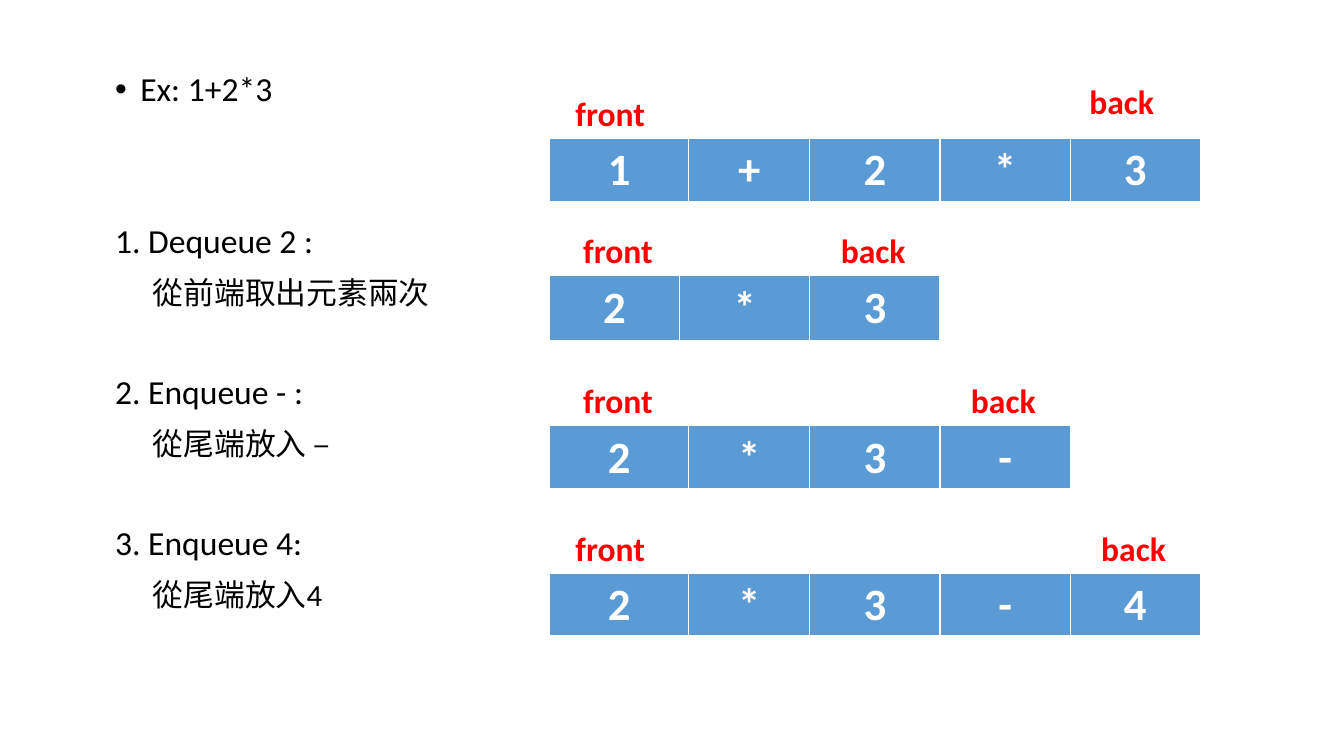
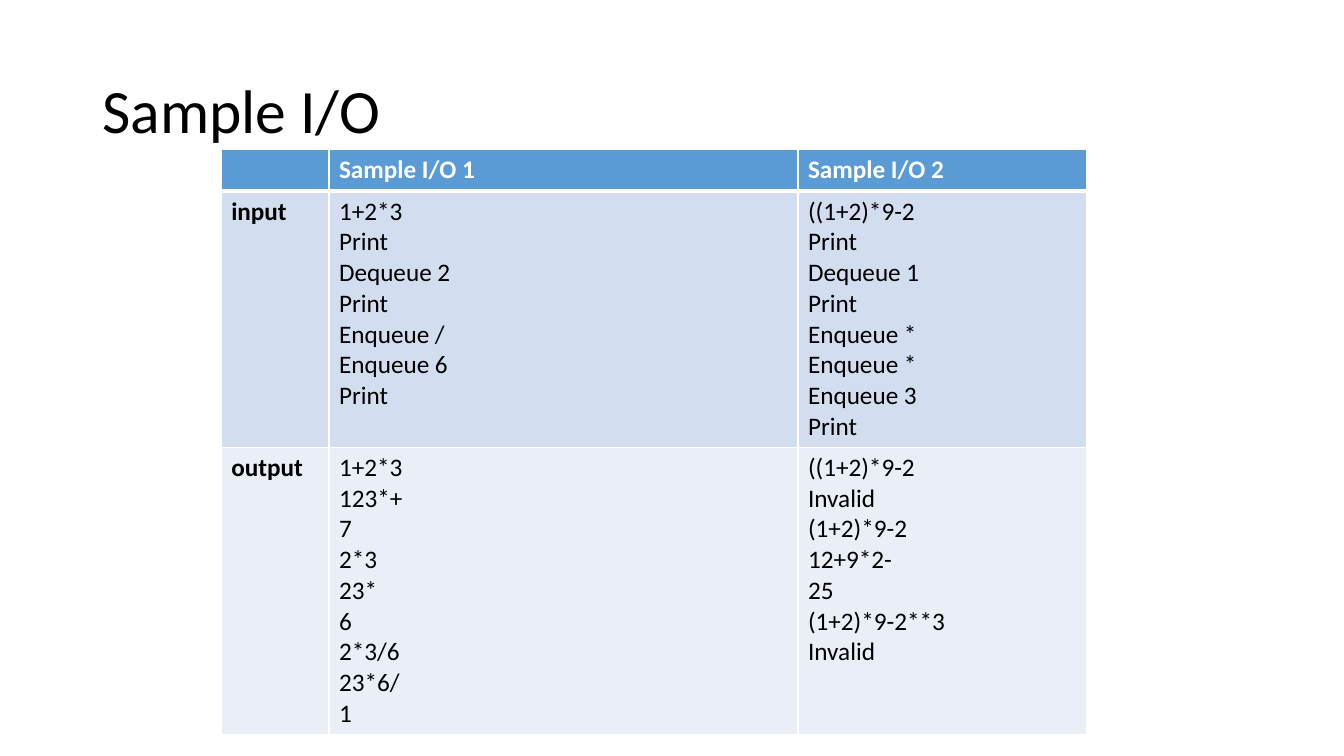
from dataclasses import dataclass

from lxml import etree
from pptx import Presentation
from pptx.dml.color import RGBColor
from pptx.enum.text import MSO_ANCHOR, MSO_AUTO_SIZE, PP_ALIGN
from pptx.oxml.ns import qn
from pptx.util import Pt

LEFT, CENTER = PP_ALIGN.LEFT, PP_ALIGN.CENTER
MIDDLE, TOP = MSO_ANCHOR.MIDDLE, MSO_ANCHOR.TOP
FIXED_SIZE, GROW = MSO_AUTO_SIZE.NONE, MSO_AUTO_SIZE.SHAPE_TO_FIT_TEXT

# Shared style
FONT = "Calibri"
COLORS = {
    "text": "000000",
    "tag": "FF0000",
    "white": "FFFFFF",
    "header": "5B9BD5",
    "input": "D2DEEF",
    "output": "EAEFF7",
}
TITLE_ONLY, TITLE_AND_CONTENT = 5, 1
LINE_HEIGHT = 26
LINE_GAP = 10
LINE_PITCH = LINE_HEIGHT + LINE_GAP

# Queue diagram grid
QUEUE_LEFT = 392.5
CELL_WIDTH = 93
TAG_WIDTH = 78
TAG_HEIGHT = 36


@dataclass(frozen=True)
class Queue:
    symbols: str
    top: float
    height: float
    front_left: float
    first_extra: float = 6.5
    back_shift: tuple[float, float] = (0, 0)


@dataclass(frozen=True)
class Step:
    text: str
    size: float = 24
    indent: float = 0
    skipped_lines: int = 0
    bullet: bool = False


@dataclass(frozen=True)
class SampleRow:
    color: str
    height: float
    cells: tuple[str, str, str]


QUEUES = [
    Queue("1+2*3", 98.5, 45, 404, back_shift=(-8.5, -8)),
    Queue("2*3", 197, 47, 409.5, first_extra=0),
    Queue("2*3-", 304, 45, 409.5),
    Queue("2*3-4", 409.5, 45, 404),
]

STEPS = [
    Step("Ex: 1+2*3", indent=18, bullet=True),
    Step("1. Dequeue 2 :", skipped_lines=2),
    Step("從前端取出元素兩次", 22, 27),
    Step("2. Enqueue - :", skipped_lines=1),
    Step("從尾端放入 –", 22, 27),
    Step("3. Enqueue 4:", skipped_lines=1),
    Step("從尾端放入4", 22, 27),
]

SAMPLE_COLUMNS = (77, 335, 206)
SAMPLES = [
    SampleRow("header", 29.5, ("", "Sample I/O 1", "Sample I/O 2")),
    SampleRow("input", 183, (
        "input",
        "1+2*3\nPrint\nDequeue 2\nPrint\nEnqueue /\nEnqueue 6\nPrint",
        "((1+2)*9-2\nPrint\nDequeue 1\nPrint\nEnqueue *\nEnqueue *\nEnqueue 3\nPrint",
    )),
    SampleRow("output", 205, (
        "output",
        "1+2*3\n123*+\n7\n2*3\n23*\n6\n2*3/6\n23*6/\n1",
        "((1+2)*9-2\nInvalid\n(1+2)*9-2\n12+9*2-\n25\n(1+2)*9-2**3\nInvalid",
    )),
]


def place(shape, left: float, top: float, width: float, height: float) -> None:
    shape.left, shape.top = Pt(left), Pt(top)
    shape.width, shape.height = Pt(width), Pt(height)


def add_run(paragraph, text: str, size: float, color: str = "text",
            bold: bool = False) -> None:
    run = paragraph.add_run()
    run.text = text
    run.font.name = FONT
    run.font.size = Pt(size)
    run.font.bold = bold
    run.font.color.rgb = RGBColor.from_string(COLORS[color])


def get_paragraph(frame, index: int):
    return frame.add_paragraph() if index else frame.paragraphs[0]


def add_border(cell, side: str, width: float) -> None:
    line = etree.SubElement(cell._tc.get_or_add_tcPr(), qn(f"a:ln{side}"),
                            w=str(Pt(width)))
    fill = etree.SubElement(line, qn("a:solidFill"))
    etree.SubElement(fill, qn("a:srgbClr"), val=COLORS["white"])


def fill_cell(cell, text: str, color: str, size: float, text_color: str,
              bold: bool, align: PP_ALIGN, bottom_border: float) -> None:
    for side, width in (("L", 1), ("R", 1), ("T", 1), ("B", bottom_border)):
        add_border(cell, side, width)
    cell.fill.solid()
    cell.fill.fore_color.rgb = RGBColor.from_string(COLORS[color])
    if not text:
        return
    for index, line in enumerate(text.split("\n")):
        paragraph = get_paragraph(cell.text_frame, index)
        paragraph.alignment = align
        add_run(paragraph, line, size, text_color, bold)


def add_grid(slide, left: float, top: float, widths: list[float],
             heights: list[float]):
    grid = slide.shapes.add_table(
        len(heights), len(widths), Pt(left), Pt(top),
        Pt(sum(widths)), Pt(sum(heights))).table
    for column, width in zip(grid.columns, widths):
        column.width = Pt(width)
    for row, height in zip(grid.rows, heights):
        row.height = Pt(height)
    return grid


def add_tag(slide, text: str, left: float, top: float) -> None:
    tag = slide.shapes.add_textbox(Pt(left), Pt(top), Pt(TAG_WIDTH), Pt(TAG_HEIGHT))
    tag.text_frame.word_wrap = True
    tag.text_frame.auto_size = GROW
    add_run(tag.text_frame.paragraphs[0], text, 24, "tag", bold=True)


def add_queue(slide, queue: Queue) -> None:
    widths = [CELL_WIDTH] * len(queue.symbols)
    widths[0] += queue.first_extra
    widths[1] -= queue.first_extra
    grid = add_grid(slide, QUEUE_LEFT, queue.top, widths, [queue.height])
    for column, symbol in enumerate(queue.symbols):
        fill_cell(grid.cell(0, column), symbol, "header", 32, "white",
                  True, CENTER, 3)
    tag_top = queue.top - TAG_HEIGHT
    shift_x, shift_y = queue.back_shift
    add_tag(slide, "front", queue.front_left, tag_top)
    add_tag(slide, "back", QUEUE_LEFT + sum(widths) - TAG_WIDTH + shift_x,
            tag_top + shift_y)


def add_step(paragraph, step: Step) -> None:
    paragraph.alignment = LEFT
    paragraph.line_spacing = Pt(LINE_HEIGHT)
    paragraph.space_before = Pt(LINE_GAP + step.skipped_lines * LINE_PITCH)
    paragraph.space_after = Pt(0)
    properties = paragraph._p.get_or_add_pPr()
    properties.set("marL", str(Pt(step.indent)))
    properties.set("indent", str(Pt(-step.indent if step.bullet else 0)))
    if step.bullet:
        etree.SubElement(properties, qn("a:buFont"), typeface="Arial")
        etree.SubElement(properties, qn("a:buChar"), char="•")
    else:
        etree.SubElement(properties, qn("a:buNone"))
    add_run(paragraph, step.text, step.size)


def set_title(slide, text: str) -> None:
    title = slide.shapes.title
    place(title, 66, 29, 828, 104.5)
    frame = title.text_frame
    frame.word_wrap = True
    frame.auto_size = FIXED_SIZE
    frame.vertical_anchor = MIDDLE
    paragraph = frame.paragraphs[0]
    paragraph.alignment = LEFT
    paragraph.line_spacing = 0.9
    add_run(paragraph, text, 44)


def build_queue_slide(deck) -> None:
    slide = deck.slides.add_slide(deck.slide_layouts[TITLE_AND_CONTENT])
    unused_title = slide.shapes.title.element
    unused_title.getparent().remove(unused_title)

    # Steps on the left
    steps = slide.placeholders[1]
    place(steps, 75, 48, 828, 453)
    frame = steps.text_frame
    frame.word_wrap = True
    frame.auto_size = FIXED_SIZE
    frame.vertical_anchor = TOP
    for index, step in enumerate(STEPS):
        add_step(get_paragraph(frame, index), step)

    # Queue states on the right
    for queue in QUEUES:
        add_queue(slide, queue)


def build_sample_slide(deck) -> None:
    slide = deck.slides.add_slide(deck.slide_layouts[TITLE_ONLY])
    set_title(slide, "Sample I/O")

    # Inputs and outputs
    grid = add_grid(slide, 158, 107, SAMPLE_COLUMNS,
                    [sample.height for sample in SAMPLES])
    for row, sample in enumerate(SAMPLES):
        is_header = row == 0
        for column, text in enumerate(sample.cells):
            fill_cell(grid.cell(row, column), text, sample.color, 18,
                      "white" if is_header else "text",
                      is_header or column == 0, LEFT, 3 if is_header else 1)


def main() -> None:
    deck = Presentation()
    deck.slide_width, deck.slide_height = Pt(960), Pt(540)
    build_queue_slide(deck)
    build_sample_slide(deck)
    deck.save("out.pptx")


main()
